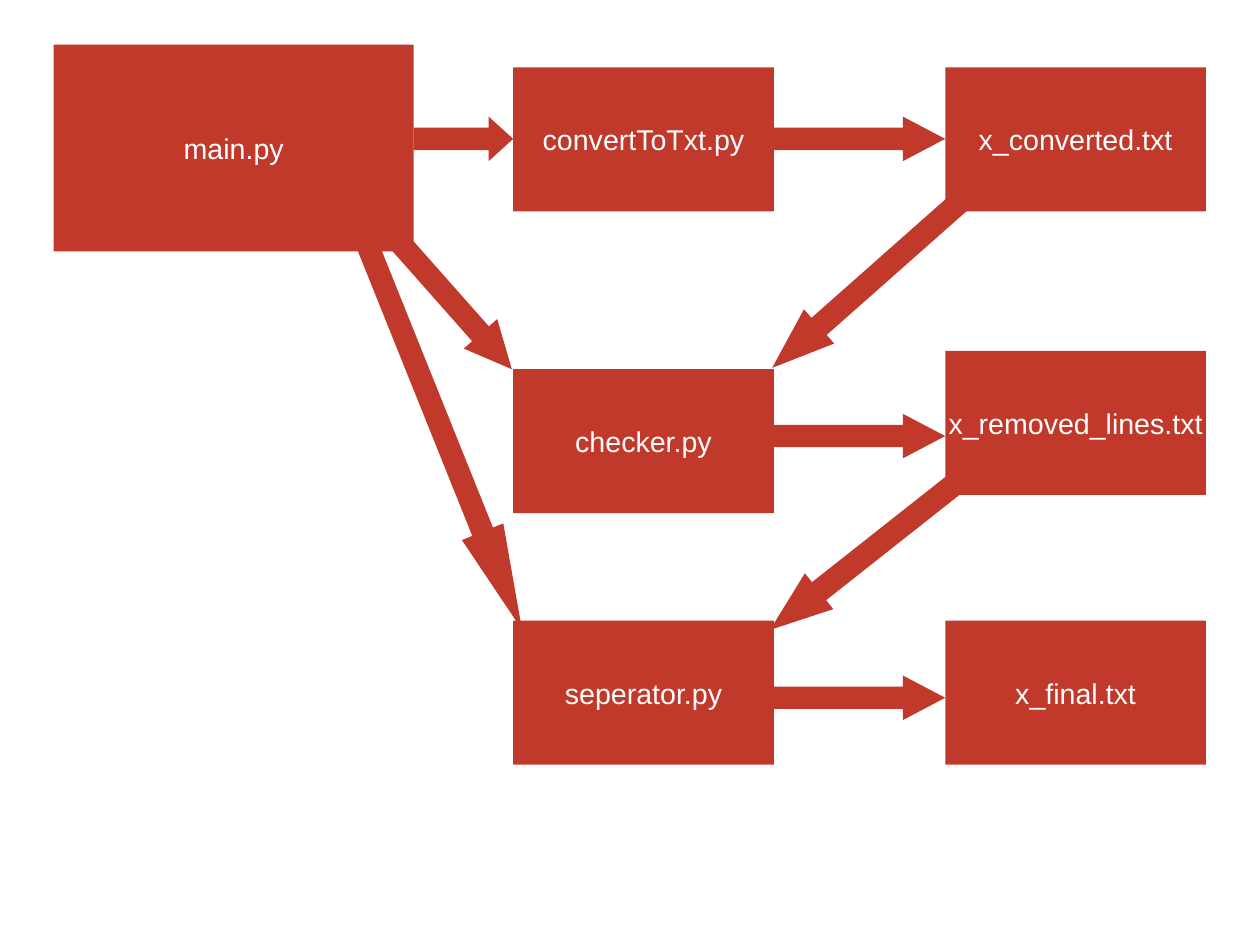
from dataclasses import dataclass

import pptx
import pptx.dml.color
import pptx.enum.shapes
import pptx.enum.text
import pptx.util
from pptx.util import Inches

COLORS = {"red": "C0392B", "white": "FFFFFF"}
SHAPES = pptx.enum.shapes.MSO_SHAPE

CM_PER_INCH = 2.54
PAGE_WIDTH, PAGE_HEIGHT = 28 / CM_PER_INCH, 21 / CM_PER_INCH
SCRIPT_LEFT, OUTPUT_LEFT = 4.49, 8.27
FILE_WIDTH, FILE_HEIGHT = 2.28, 1.26
SCRIPT_RIGHT = SCRIPT_LEFT + FILE_WIDTH
ARROW_HEIGHT = 0.39


@dataclass(frozen=True)
class FileBox:
    name: str
    left: float
    top: float
    width: float = FILE_WIDTH
    height: float = FILE_HEIGHT


@dataclass(frozen=True)
class Arrow:
    left: float
    top: float
    width: float
    head: float
    height: float = ARROW_HEIGHT
    rotation: float = 0
    preset: SHAPES = SHAPES.RIGHT_ARROW


def output_arrow(top: float) -> Arrow:
    """Arrow from a script to the file it writes."""
    return Arrow(SCRIPT_RIGHT, top, OUTPUT_LEFT - SCRIPT_RIGHT, 0.95)


def input_arrow(left: float, top: float, rotation: float) -> Arrow:
    """Arrow from a written file down to the next script."""
    return Arrow(left, top, 2.2, 1.37, 0.4, rotation, SHAPES.LEFT_ARROW)


ITEMS: list[FileBox | Arrow] = [
    FileBox("main.py", 0.47, 0.39, 3.15, 1.81),
    FileBox("convertToTxt.py", SCRIPT_LEFT, 0.59),
    FileBox("checker.py", SCRIPT_LEFT, 3.23),
    FileBox("seperator.py", SCRIPT_LEFT, 5.43),
    Arrow(3.62, 1.02, 0.87, 0.55),
    output_arrow(1.02),
    FileBox("x_converted.txt", OUTPUT_LEFT, 0.59),
    input_arrow(6.48, 2.29, 318.5),
    output_arrow(3.62),
    FileBox("x_removed_lines.txt", OUTPUT_LEFT, 3.07),
    Arrow(3.09, 2.41, 1.67, 1.06, rotation=48.5),
    Arrow(2, 3.58, 3.74, 2.37, rotation=68.1),
    input_arrow(6.5, 4.63, 321.7),
    FileBox("x_final.txt", OUTPUT_LEFT, 5.43),
    output_arrow(5.91),
]


def rgb(name: str) -> pptx.dml.color.RGBColor:
    return pptx.dml.color.RGBColor.from_string(COLORS[name])


def add_red_shape(
    page: pptx.slide.Slide, preset: SHAPES, item: FileBox | Arrow
) -> pptx.shapes.autoshape.Shape:
    shape = page.shapes.add_shape(
        preset, Inches(item.left), Inches(item.top),
        Inches(item.width), Inches(item.height),
    )
    shape.shadow.inherit = False
    shape.fill.solid()
    shape.fill.fore_color.rgb = rgb("red")
    shape.line.fill.background()
    return shape


def draw_file(page: pptx.slide.Slide, file: FileBox) -> None:
    frame = add_red_shape(page, SHAPES.RECTANGLE, file).text_frame
    frame.word_wrap = False
    frame.vertical_anchor = pptx.enum.text.MSO_ANCHOR.MIDDLE
    para = frame.paragraphs[0]
    para.text = file.name
    para.alignment = pptx.enum.text.PP_ALIGN.CENTER
    para.font.name = "Arial"
    para.font.size = pptx.util.Pt(18)
    para.font.color.rgb = rgb("white")


def draw_arrow(page: pptx.slide.Slide, arrow: Arrow) -> None:
    shape = add_red_shape(page, arrow.preset, arrow)
    shape.adjustments[0] = 0.5
    shape.adjustments[1] = arrow.head
    shape.rotation = arrow.rotation


def main() -> None:
    deck = pptx.Presentation()
    deck.slide_width, deck.slide_height = Inches(PAGE_WIDTH), Inches(PAGE_HEIGHT)
    page = deck.slides.add_slide(deck.slide_layouts[6])
    for item in ITEMS:
        if isinstance(item, FileBox):
            draw_file(page, item)
        else:
            draw_arrow(page, item)
    deck.save("out.pptx")


if __name__ == "__main__":
    main()
